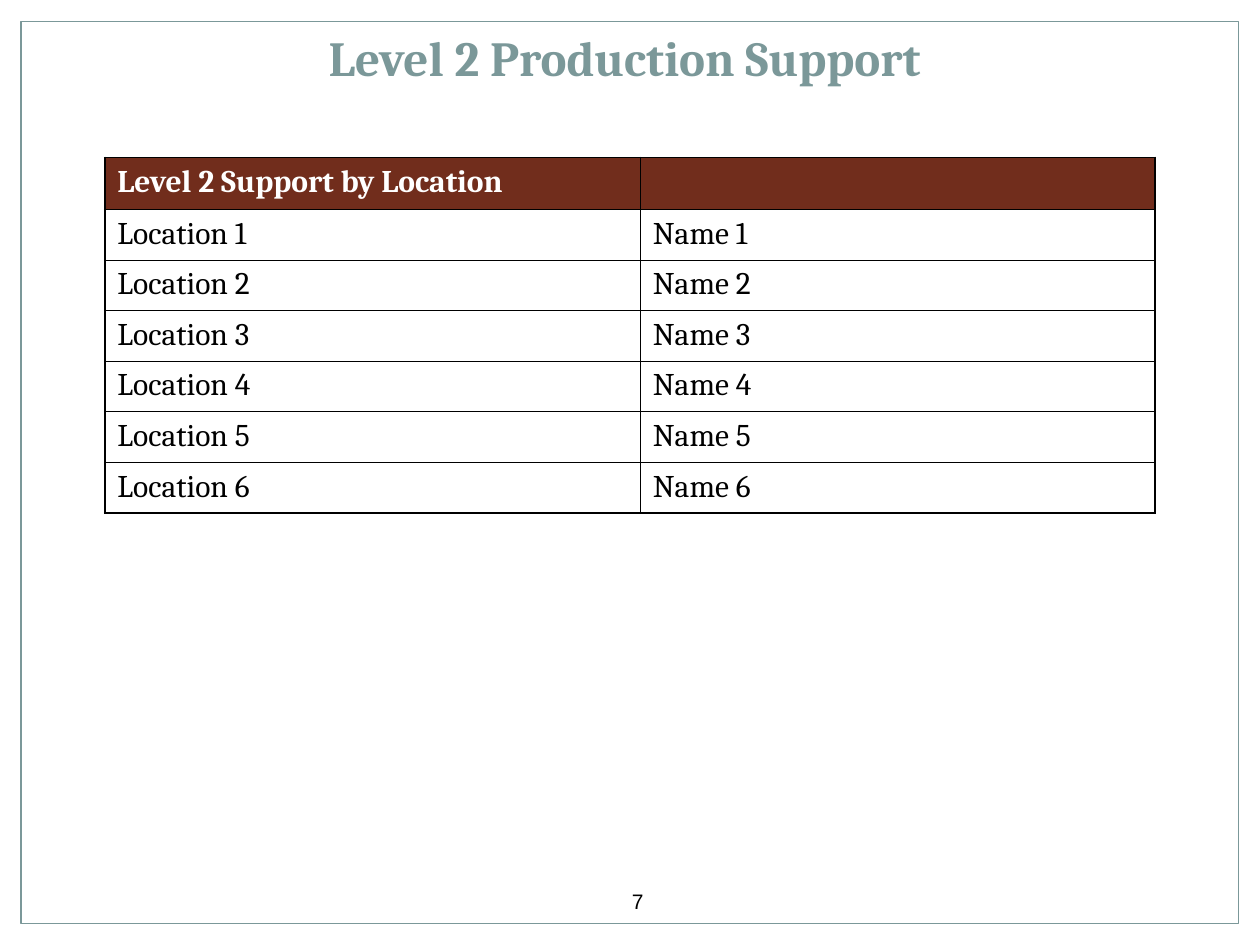
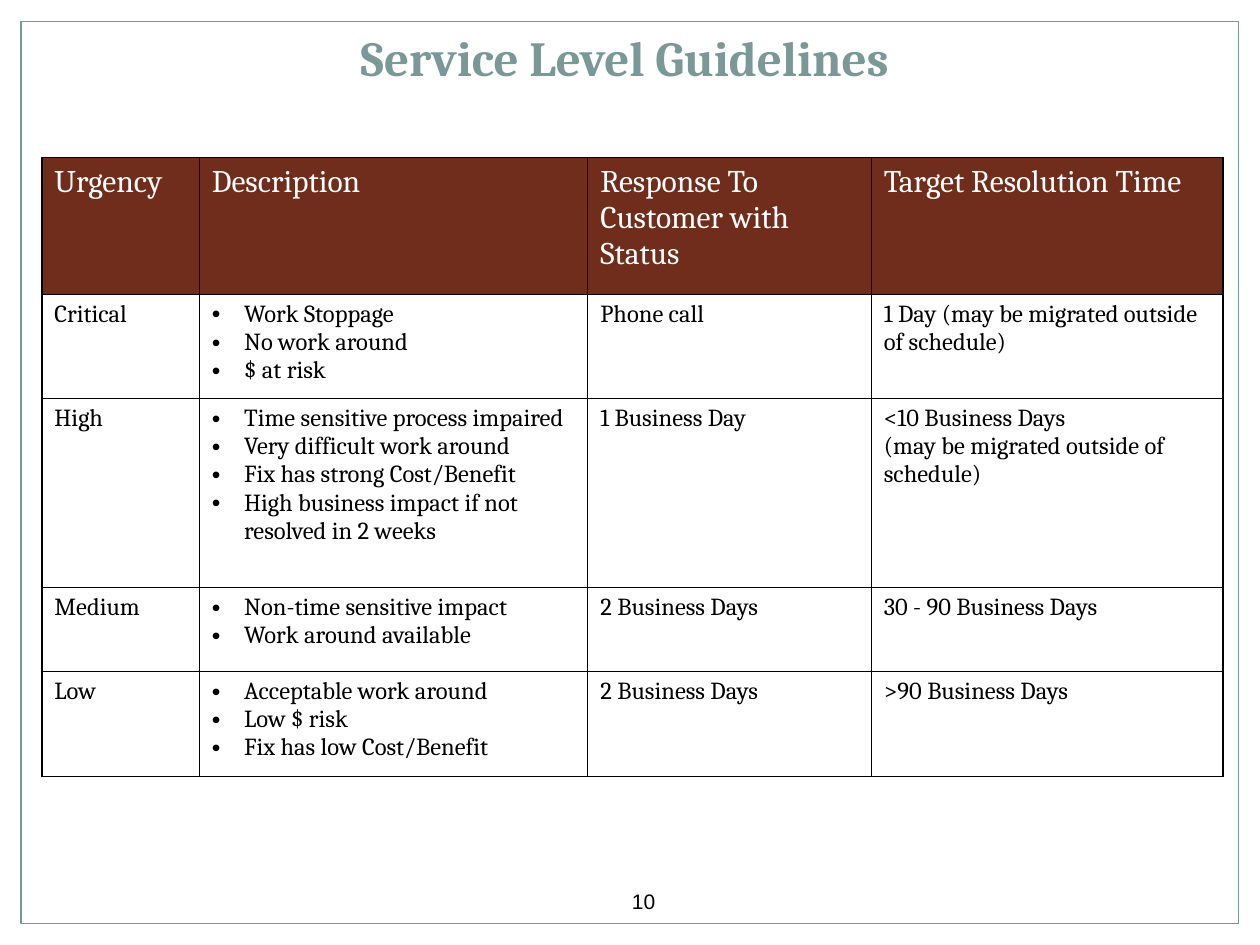
from lxml import etree
from pptx import Presentation
from pptx.dml.color import RGBColor
from pptx.enum.shapes import MSO_SHAPE
from pptx.enum.text import MSO_ANCHOR, PP_ALIGN
from pptx.oxml.ns import qn
from pptx.util import Pt

RECTANGLE = MSO_SHAPE.RECTANGLE
MIDDLE = MSO_ANCHOR.MIDDLE
CENTER = PP_ALIGN.CENTER

COLORS = {"sage": "7B9899", "rust": "712D1C", "black": "000000", "white": "FFFFFF"}
SERIF, SANS = "Cambria", "Arial"
TITLE_ONLY = 5
EDGE = 12
FRAME_TOP = 12.3
SLIDE_WIDTH, SLIDE_HEIGHT = 720, 540
TABLE_TOP = 90
OUTER_LINE, INNER_LINE = 1.08, 0.45
BULLET_INDENT = 18.4

LOCATION_ROWS = [["Level 2 Support by Location", ""]] + [
    [f"Location {n}", f"Name {n}"] for n in range(1, 7)
]

# A list in a cell holds bullet points; a line break in a string starts a paragraph.
GUIDELINE_ROWS = [
    ["Urgency", "Description", "Response To Customer with Status", "Target Resolution Time"],
    ["Critical", ["Work Stoppage", "No work around", "$ at risk"],
     "Phone call", "1 Day (may be migrated outside of schedule)"],
    ["High", ["Time sensitive process impaired", "Very difficult work around",
              "Fix has strong Cost/Benefit", "High business impact if not resolved in 2 weeks"],
     "1 Business Day", "<10 Business Days\n(may be migrated outside of schedule)"],
    ["Medium", ["Non-time sensitive impact", "Work around available"],
     "2 Business Days", "30 - 90 Business Days"],
    ["Low", ["Acceptable work around", "Low $ risk", "Fix has low Cost/Benefit"],
     "2 Business Days", ">90 Business Days"],
]


def rgb(name):
    return RGBColor.from_string(COLORS[name])


class Deck:
    """Holds the shared style and the slide being built."""

    def __init__(self):
        self.presentation = Presentation()
        self.presentation.slide_width = Pt(SLIDE_WIDTH)
        self.presentation.slide_height = Pt(SLIDE_HEIGHT)
        self.slide = None

    def start_slide(self, title, number):
        layout = self.presentation.slide_layouts[TITLE_ONLY]
        self.slide = self.presentation.slides.add_slide(layout)
        self.rectangle(0, 0, SLIDE_WIDTH, EDGE, fill="white")
        self.rectangle(SLIDE_WIDTH - EDGE, 0, EDGE, SLIDE_HEIGHT, fill="white")
        self.rectangle(0, 0, EDGE, SLIDE_HEIGHT, fill="white")
        self.rectangle(EDGE, FRAME_TOP, 695.6, 515.6, line="sage")
        self.page_number(number)
        self.title(title)

    def rectangle(self, left, top, width, height, fill=None, line=None):
        shape = self.slide.shapes.add_shape(
            RECTANGLE, Pt(left), Pt(top), Pt(width), Pt(height))
        shape.shadow.inherit = False
        if fill:
            shape.fill.solid()
            shape.fill.fore_color.rgb = rgb(fill)
        else:
            shape.fill.background()
        if line:
            shape.line.color.rgb = rgb(line)
            shape.line.width = Pt(0.75)
        else:
            shape.line.fill.background()

    def page_number(self, number):
        box = self.slide.shapes.add_textbox(Pt(354), Pt(504), Pt(48), Pt(21.6))
        box.text_frame.word_wrap = True
        self.run(box.text_frame.paragraphs[0], str(number), 12, "black", font=SANS)

    def title(self, text):
        title = self.slide.shapes.title
        title.left, title.top = Pt(EDGE), Pt(FRAME_TOP)
        title.width, title.height = Pt(SLIDE_WIDTH - 2 * EDGE), Pt(40.6)
        text_frame = title.text_frame
        text_frame.margin_left = text_frame.margin_right = 0
        text_frame.margin_top = text_frame.margin_bottom = 0
        text_frame.vertical_anchor = MIDDLE
        paragraph = text_frame.paragraphs[0]
        paragraph.alignment = CENTER
        self.run(paragraph, text + " ", 28, "sage", bold=True)

    def run(self, paragraph, text, size, color, bold=False, font=SERIF):
        run = paragraph.add_run()
        run.text = text
        run.font.name = font
        run.font.size = Pt(size)
        run.font.bold = bold
        run.font.color.rgb = rgb(color)

    def bullet(self, paragraph):
        properties = paragraph._p.get_or_add_pPr()
        properties.set("marL", str(Pt(BULLET_INDENT)))
        properties.set("indent", str(-Pt(BULLET_INDENT)))
        color = etree.SubElement(properties, qn("a:buClr"))
        etree.SubElement(color, qn("a:srgbClr"), val=COLORS["black"])
        etree.SubElement(properties, qn("a:buFont"), typeface=SANS)
        etree.SubElement(properties, qn("a:buChar"), char="•")

    def borders(self, cell, outer_sides):
        properties = cell._tc.get_or_add_tcPr()
        for side in "LRTB":
            width = OUTER_LINE if side in outer_sides else INNER_LINE
            line = etree.SubElement(properties, qn(f"a:ln{side}"), w=str(Pt(width)))
            fill = etree.SubElement(line, qn("a:solidFill"))
            etree.SubElement(fill, qn("a:srgbClr"), val=COLORS["black"])

    def cell_text(self, cell, content, size, color, bold):
        is_list = isinstance(content, list)
        lines = content if is_list else content.split("\n")
        text_frame = cell.text_frame
        for index, line in enumerate(lines):
            paragraph = text_frame.add_paragraph() if index else text_frame.paragraphs[0]
            if is_list:
                self.bullet(paragraph)
            if line:
                self.run(paragraph, line, size, color, bold)

    def table(self, left, widths, heights, rows, body_size, bold_header=False):
        table = self.slide.shapes.add_table(
            len(rows), len(widths), Pt(left), Pt(TABLE_TOP),
            Pt(sum(widths)), Pt(sum(heights))).table
        table.first_row = table.horz_banding = False
        for column, width in zip(table.columns, widths):
            column.width = Pt(width)
        for row, height in zip(table.rows, heights):
            row.height = Pt(height)
        last_row, last_column = len(rows) - 1, len(widths) - 1
        for r, contents in enumerate(rows):
            for c, content in enumerate(contents):
                cell = table.cell(r, c)
                edges = {"L": c == 0, "R": c == last_column, "T": r == 0, "B": r == last_row}
                self.borders(cell, [side for side, outer in edges.items() if outer])
                if r == 0:
                    cell.fill.solid()
                    cell.fill.fore_color.rgb = rgb("rust")
                    self.cell_text(cell, content, 18, "white", bold_header)
                else:
                    cell.fill.background()
                    self.cell_text(cell, content, body_size, "black", False)


def main():
    deck = Deck()

    deck.start_slide("Level 2 Production Support", 7)
    deck.table(59.9, [306, 294], [29.7] + [28.93] * 6, LOCATION_ROWS, 18, bold_header=True)

    deck.start_slide("Service Level Guidelines", 10)
    deck.table(23.9, [90, 222, 162, 201], [78, 59.6, 108, 48, 60.2], GUIDELINE_ROWS, 14)

    deck.presentation.save("out.pptx")


if __name__ == "__main__":
    main()
